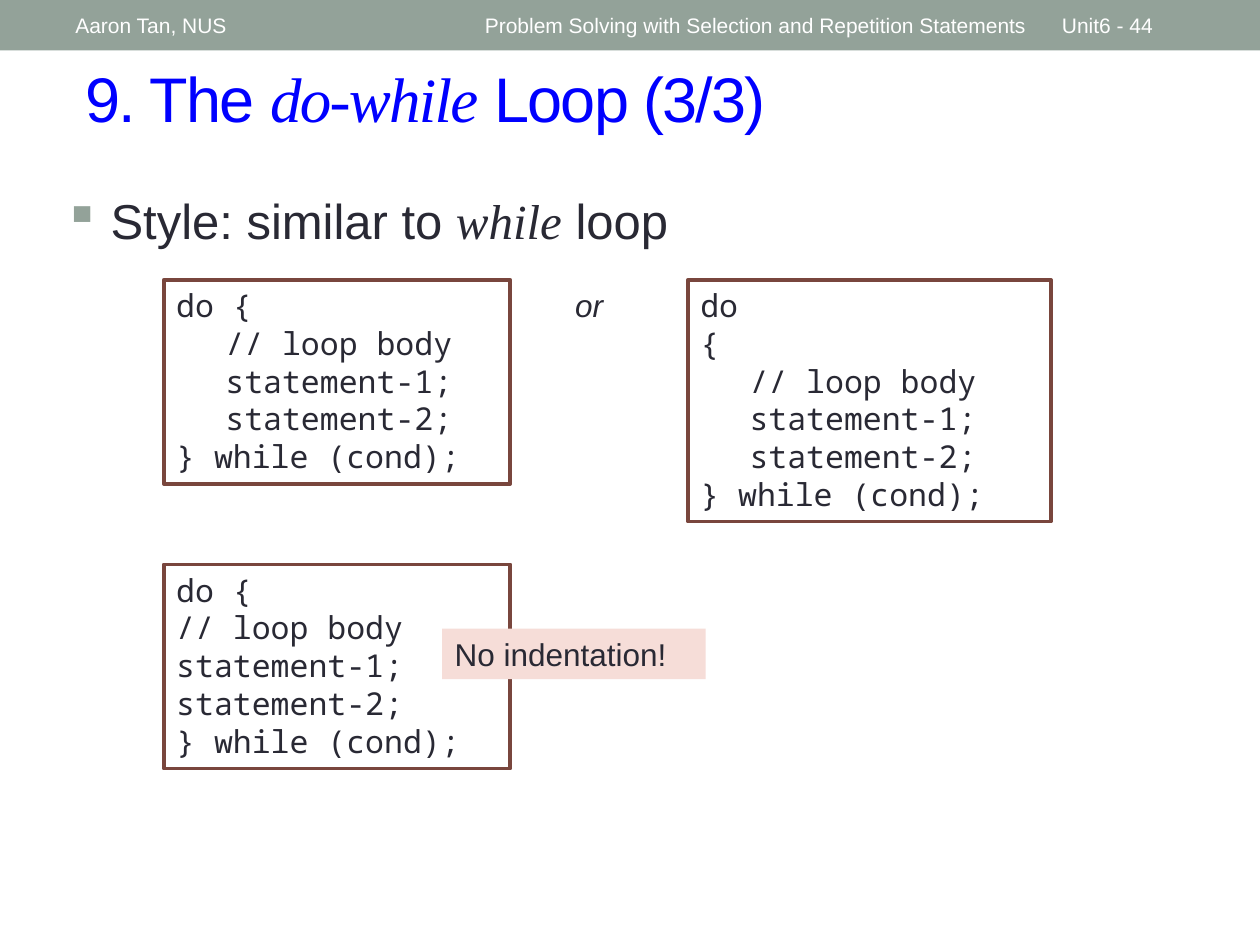
from lxml.etree import SubElement
from pptx import Presentation
from pptx.dml.color import RGBColor
from pptx.enum.shapes import MSO_SHAPE
from pptx.enum.text import MSO_ANCHOR, PP_ALIGN
from pptx.oxml.ns import qn
from pptx.util import Inches, Pt

COLORS = {
    "band": "93A299", "paper": "FFFFFF", "title": "0000FF",
    "ink": "292934", "frame": "79463D", "note": "F6DDD8",
}
SANS, SERIF, MONO = "Arial", "Times New Roman", "Noto Sans Mono"
TAB_STOPS = (0.39, 0.79)
CODE_LEFT, CODE_TOP, CODE_WIDTH = 1.3, 2.22, 2.75

BODY = ["// loop body", "statement-1;", "statement-2;"]
INDENTED_BODY = ["\t" + line for line in BODY]
ENDING = ["} while (cond);"]


def color(name):
    return RGBColor.from_string(COLORS[name])


def place(shape, box):
    shape.left, shape.top, shape.width, shape.height = map(Inches, box)


def add_run(paragraph, text, size, ink="ink", font=SANS, italic=False):
    run = paragraph.add_run()
    run.text = text
    run.font.size = Pt(size)
    run.font.name = font
    run.font.italic = italic
    run.font.color.rgb = color(ink)
    return run


def add_text_box(slide, box, anchor=MSO_ANCHOR.TOP):
    """Add a wrapping text box and return its first paragraph."""
    frame = slide.shapes.add_textbox(*map(Inches, box)).text_frame
    frame.word_wrap = True
    frame.vertical_anchor = anchor
    return frame.paragraphs[0]


def add_rectangle(slide, box, fill, line=None):
    shape = slide.shapes.add_shape(MSO_SHAPE.RECTANGLE, *map(Inches, box))
    shape.shadow.inherit = False
    shape.fill.solid()
    shape.fill.fore_color.rgb = color(fill)
    if line:
        shape.line.color.rgb = color(line)
        shape.line.width = Pt(2.08)
    else:
        shape.line.fill.background()
    shape.text_frame.word_wrap = True
    shape.text_frame.vertical_anchor = MSO_ANCHOR.TOP
    shape.text_frame.paragraphs[0].alignment = PP_ALIGN.LEFT
    return shape


def add_header(slide, box):
    left, top, width, height = box
    add_rectangle(slide, box, "band")
    columns = [
        (0.05, 0.317, "Aaron Tan, NUS"),
        (0.375, 0.45, "Problem Solving with Selection and Repetition Statements"),
        (0.833, 0.117, "Unit6 - 44"),
    ]
    for start, share, text in columns:
        label_box = (left + start * width, top + 0.05 * height,
                     share * width, 0.9 * height)
        paragraph = add_text_box(slide, label_box, MSO_ANCHOR.MIDDLE)
        add_run(paragraph, text, 12, "paper")


def add_title(slide, box):
    title = slide.shapes.title
    place(title, box)
    title.text_frame.vertical_anchor = MSO_ANCHOR.TOP
    paragraph = title.text_frame.paragraphs[0]
    paragraph.alignment = PP_ALIGN.LEFT
    for text, font in (("9. The ", SANS), ("do-while", SERIF), (" Loop (3/3)", SANS)):
        run = add_run(paragraph, text, 36, "title", font, font == SERIF)
        run.font._element.set("spc", "-100")


def add_bullet_line(slide, box):
    paragraph = add_text_box(slide, box)
    properties = paragraph._p.get_or_add_pPr()
    indent = Inches(0.37)
    properties.set("marL", str(indent))
    properties.set("indent", str(-indent))
    bullet_color = SubElement(properties, qn("a:buClr"))
    SubElement(bullet_color, qn("a:srgbClr"), val=COLORS["band"])
    SubElement(properties, qn("a:buChar"), char="▪")
    for text, font in (("Style: similar to ", SANS), ("while", SERIF), (" loop", SANS)):
        add_run(paragraph, text, 28, "ink", font, font == SERIF)


def add_code(slide, left, top, width, lines):
    """Add a framed listing whose height follows its number of lines."""
    box = (left, top, width, 0.3 * len(lines) + 0.12)
    frame = add_rectangle(slide, box, "paper", "frame").text_frame
    for index, line in enumerate(lines):
        paragraph = frame.add_paragraph() if index else frame.paragraphs[0]
        paragraph.alignment = PP_ALIGN.LEFT
        tabs = SubElement(paragraph._p.get_or_add_pPr(), qn("a:tabLst"))
        for stop in TAB_STOPS:
            SubElement(tabs, qn("a:tab"), pos=str(Inches(stop)), algn="l")
        add_run(paragraph, line, 18, font=MONO)


def add_style_examples(slide):
    add_code(slide, CODE_LEFT, CODE_TOP, CODE_WIDTH,
             ["do {"] + INDENTED_BODY + ENDING)
    paragraph = add_text_box(slide, (4.29, CODE_TOP, 0.77, 0.4))
    paragraph.alignment = PP_ALIGN.CENTER
    add_run(paragraph, "or", 18, italic=True)
    add_code(slide, 5.46, CODE_TOP, 2.88,
             ["do", "{"] + INDENTED_BODY + ENDING)


def add_bad_example(slide, top):
    add_code(slide, CODE_LEFT, top, CODE_WIDTH, ["do {"] + BODY + ENDING)
    note = add_rectangle(slide, (3.51, top + 0.51, 2.09, 0.4), "note")
    add_run(note.text_frame.paragraphs[0], "No indentation!", 18)


def main():
    presentation = Presentation()
    presentation.slide_width, presentation.slide_height = Inches(10), Inches(7.5)
    slide = presentation.slides.add_slide(presentation.slide_layouts[5])
    add_header(slide, (0, 0, 10, 0.4))
    add_title(slide, (0.58, 0.42, 9.17, 0.92))
    add_bullet_line(slide, (0.41, 1.46, 5.57, 1.2))
    add_style_examples(slide)
    add_bad_example(slide, 4.48)
    presentation.save("out.pptx")


if __name__ == "__main__":
    main()
